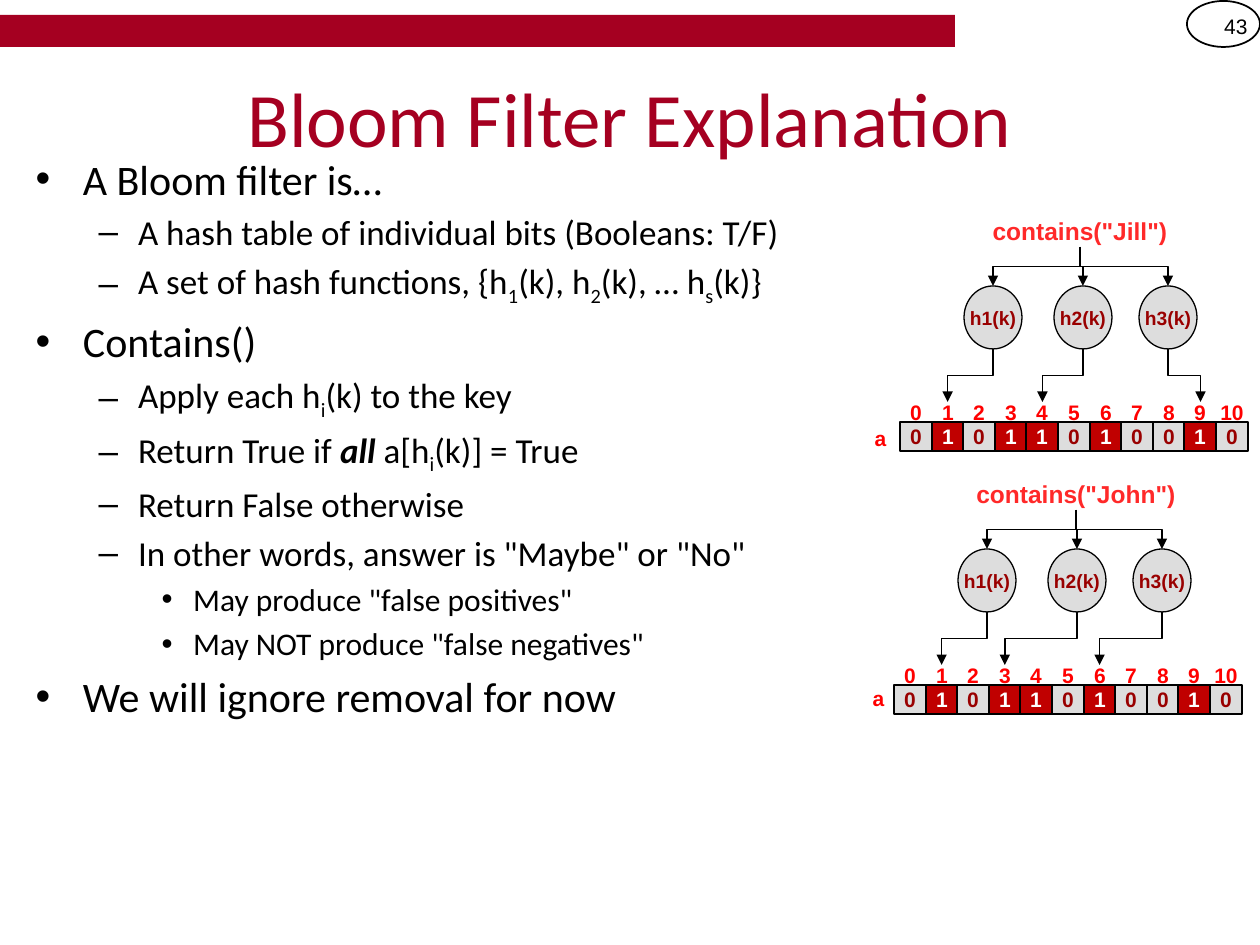
from dataclasses import dataclass
from typing import NamedTuple

from lxml.etree import SubElement
from pptx import Presentation
from pptx.dml.color import RGBColor
from pptx.enum.shapes import MSO_CONNECTOR as Connector, MSO_SHAPE as Preset
from pptx.enum.text import MSO_ANCHOR as Anchor, MSO_AUTO_SIZE as AutoSize, PP_ALIGN as Align
from pptx.oxml.ns import qn
from pptx.util import Emu, Pt

EMU_PER_PIXEL = 914400 / 126
BLACK, WHITE, CRIMSON = "000000", "FFFFFF", "A50021"
GRAY, DARK_RED, SET_RED, RED, CALL_RED = "DDDDDD", "990000", "C00000", "FF0000", "FF2929"

BITS = "01011010010"
CELL_STEP, CELL_WIDTH, CELL_HEIGHT = 31.6, 32, 29
INDEX_HEIGHT = 21
HASH_LEFTS = (64, 154, 239)
HASH_WIDTH, HASH_HEIGHT = 58, 63
LEVEL_SIZES = (24, 20, 18)


class Box(NamedTuple):
    """A rectangle in pixels."""
    left: int
    top: int
    width: int
    height: int


class Piece(NamedTuple):
    """A stretch of bullet text with one style."""
    text: str
    subscript: bool = False
    strong: bool = False


class Bullet(NamedTuple):
    """A list entry and its indent level."""
    level: int
    pieces: tuple


@dataclass
class Lookup:
    """One Bloom filter query, placed by the left and top of its diagram."""
    call: str
    left: int
    top: int
    call_width: int
    trunk: int
    name_left: int
    name_top: int
    targets: tuple


def sub(text: str) -> Piece:
    """Return a subscript piece."""
    return Piece(text, subscript=True)


BULLETS = (
    Bullet(0, (Piece("A Bloom filter is…"),)),
    Bullet(1, (Piece("A hash table of individual bits (Booleans: T/F)"),)),
    Bullet(1, (Piece("A set of hash functions, {h"), sub("1"), Piece("(k), h"), sub("2"),
               Piece("(k), … h"), sub("s"), Piece("(k)}"))),
    Bullet(0, (Piece("Contains()"),)),
    Bullet(1, (Piece("Apply each h"), sub("i"), Piece("(k) to the key"))),
    Bullet(1, (Piece("Return True if "), Piece("all", strong=True), Piece(" a[h"), sub("i"),
               Piece("(k)] = True"))),
    Bullet(1, (Piece("Return False otherwise"),)),
    Bullet(1, (Piece('In other words, answer is "Maybe" or "No"'),)),
    Bullet(2, (Piece('May produce "false positives"'),)),
    Bullet(2, (Piece('May NOT produce "false negatives"'),)),
    Bullet(0, (Piece("We will ignore removal for now"),)),
)
LOOKUPS = (
    Lookup('contains("Jill")', 900, 210, 208, 1080, 864, 426, (1, 4, 9)),
    Lookup('contains("John")', 894, 473, 268, 1076, 862, 686, (1, 3, 6)),
)


def px(value: float) -> Emu:
    """Convert pixels to EMU."""
    return Emu(round(value * EMU_PER_PIXEL))


def color(value: str) -> RGBColor:
    """Convert a hex string to a colour."""
    return RGBColor.from_string(value)


def place(shape, box: Box) -> None:
    """Move and size a shape."""
    shape.left, shape.top, shape.width, shape.height = map(px, box)


def write(shape, text: str, size: float, text_color: str, bold: bool = True,
          align=Align.CENTER, anchor=Anchor.MIDDLE, wrap: bool = False) -> None:
    """Put one line of Arial text in a shape, without side margins unless it wraps."""
    frame = shape.text_frame
    frame.word_wrap, frame.vertical_anchor = wrap, anchor
    if not wrap:
        frame.margin_left = frame.margin_right = 0
    paragraph = frame.paragraphs[0]
    paragraph.text, paragraph.alignment = text, align
    font = paragraph.font
    font.name, font.size, font.bold = "Arial", Pt(size), bold
    font.color.rgb = color(text_color)


def add_label(slide, box: Box, text: str, size: float, text_color: str, **options) -> None:
    """Add a text box with one line."""
    write(slide.shapes.add_textbox(*map(px, box)), text, size, text_color, **options)


def add_figure(slide, preset, box: Box, fill: str | None, line_width: float = 0):
    """Add a preset shape, outlined in black when a line width is given."""
    shape = slide.shapes.add_shape(preset, *map(px, box))
    shape.shadow.inherit = False
    if fill:
        shape.fill.solid()
        shape.fill.fore_color.rgb = color(fill)
    else:
        shape.fill.background()
    if line_width:
        shape.line.color.rgb, shape.line.width = color(BLACK), Pt(line_width)
    else:
        shape.line.fill.background()
    return shape


def add_arrow(slide, start_x: float, start_y: float, end_x: float, end_y: float) -> None:
    """Add an elbow arrow that leaves and arrives vertically."""
    drop, shift = end_y - start_y, abs(end_x - start_x)
    left = (start_x + end_x - drop) / 2
    top = (start_y + end_y - shift) / 2
    arrow = slide.shapes.add_connector(
        Connector.ELBOW, px(left), px(top), px(left + drop), px(top + shift))
    arrow.line.color.rgb, arrow.line.width = color(BLACK), Pt(1)
    properties = arrow.element.spPr
    transform = properties.find(qn("a:xfrm"))
    if end_x < start_x:
        transform.set("rot", "5400000")
    else:
        transform.set("rot", "16200000")
        transform.set("flipH", "1")
    SubElement(properties.find(qn("a:ln")), qn("a:tailEnd"), type="triangle")
    SubElement(properties, qn("a:effectLst"))


def add_header(slide) -> None:
    """Draw the top bar and the slide number."""
    add_figure(slide, Preset.RECTANGLE, Box(0, 15, 955, 32), CRIMSON)
    add_figure(slide, Preset.OVAL, Box(1187, 1, 73, 46), None, 1)
    add_label(slide, Box(1187, 1, 73, 50), "43", 12, BLACK, bold=False, align=Align.RIGHT,
              wrap=True)


def fill_placeholders(slide) -> None:
    """Write the title and the bulleted list."""
    title, body = slide.shapes.title, slide.placeholders[1]
    place(title, Box(63, 38, 1134, 158))
    title.text_frame.text = "Bloom Filter Explanation"
    font = title.text_frame.paragraphs[0].font
    font.name, font.size, font.color.rgb = "Calibri", Pt(44), color(CRIMSON)

    place(body, Box(23, 147, 828, 735))
    frame = body.text_frame
    frame.auto_size = AutoSize.NONE
    for index, bullet in enumerate(BULLETS):
        paragraph = frame.add_paragraph() if index else frame.paragraphs[0]
        paragraph.level = bullet.level
        font = paragraph.font
        font.name, font.size = "Calibri", Pt(LEVEL_SIZES[bullet.level])
        font.color.rgb = color(BLACK)
        for piece in bullet.pieces:
            run = paragraph.add_run()
            run.text = piece.text
            if piece.strong:
                run.font.bold = run.font.italic = True
            if piece.subscript:
                run._r.get_or_add_rPr().set("baseline", "-25000")


def add_lookup(slide, lookup: Lookup) -> None:
    """Draw a query: its call, hash functions, arrows and bit array."""
    trunk_top, hash_top = lookup.top + 37, lookup.top + 76
    index_top, cell_top = lookup.top + 192, lookup.top + 212
    for index, bit in enumerate(BITS):
        left = round(lookup.left + index * CELL_STEP)
        fill, text_color = (SET_RED, WHITE) if bit == "1" else (GRAY, DARK_RED)
        cell = add_figure(slide, Preset.RECTANGLE,
                          Box(left, cell_top, CELL_WIDTH, CELL_HEIGHT), fill, 0.75)
        write(cell, bit, 12, text_color)
        add_label(slide, Box(left, index_top, CELL_WIDTH, INDEX_HEIGHT), str(index), 12, RED)

    add_label(slide, Box(lookup.trunk - lookup.call_width // 2, lookup.top,
                         lookup.call_width, 36),
              lookup.call, 14, CALL_RED, anchor=Anchor.TOP, wrap=True)
    for number, (offset, target) in enumerate(zip(HASH_LEFTS, lookup.targets), start=1):
        left = lookup.left + offset
        center = left + HASH_WIDTH / 2
        oval = add_figure(slide, Preset.OVAL,
                          Box(left, hash_top, HASH_WIDTH, HASH_HEIGHT), GRAY, 0.75)
        write(oval, f"h{number}(k)", 11, DARK_RED)
        add_arrow(slide, lookup.trunk, trunk_top, center, hash_top)
        target_x = lookup.left + target * CELL_STEP + CELL_WIDTH / 2
        add_arrow(slide, center, hash_top + HASH_HEIGHT, target_x, index_top)
    add_label(slide, Box(lookup.name_left, lookup.name_top, 33, 24), "a", 12, RED)


presentation = Presentation()
presentation.slide_width, presentation.slide_height = px(1260), px(945)
slide = presentation.slides.add_slide(presentation.slide_layouts[1])
add_header(slide)
fill_placeholders(slide)
for lookup in LOOKUPS:
    add_lookup(slide, lookup)
presentation.save("out.pptx")
